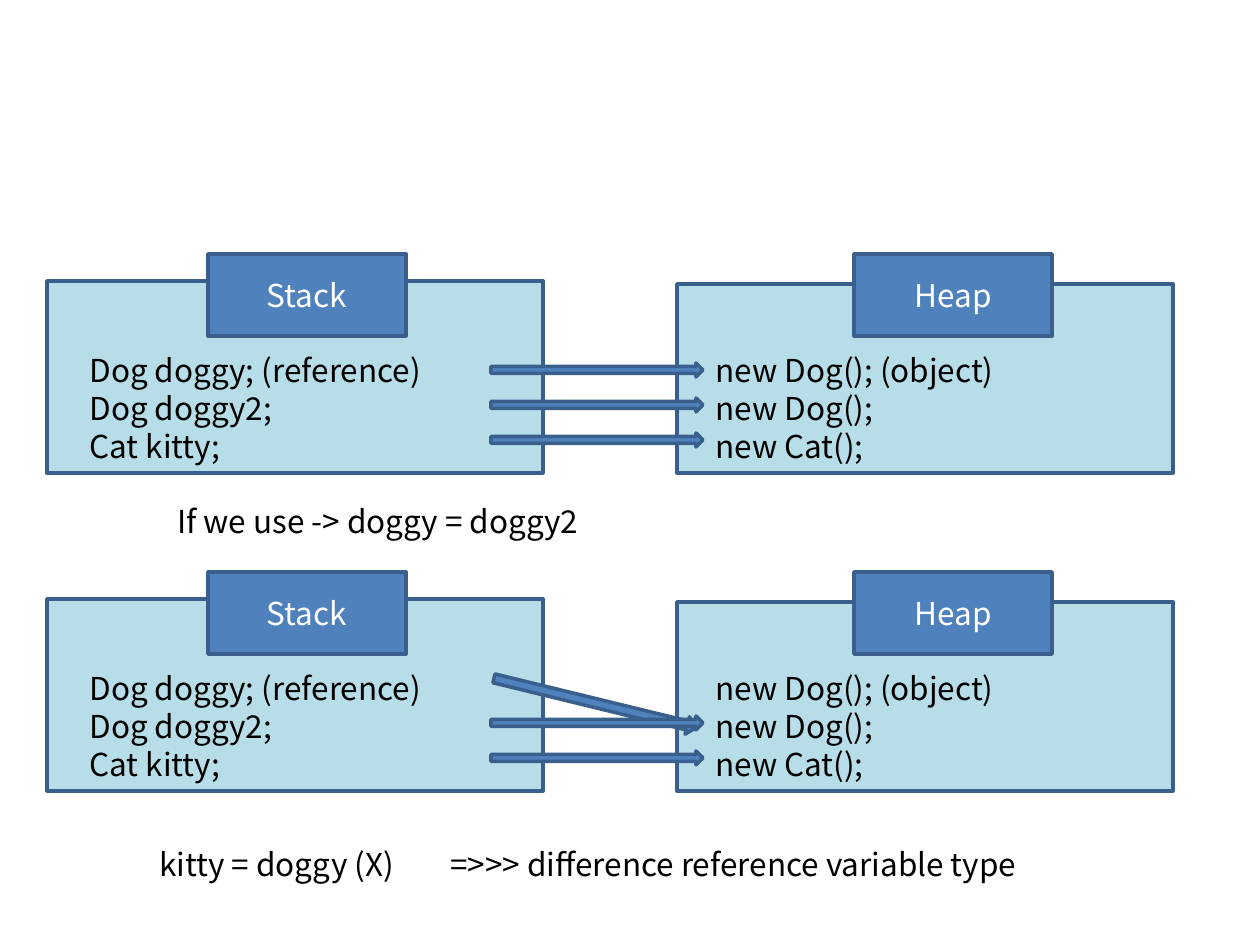
from pptx import Presentation
from pptx.dml.color import RGBColor
from pptx.enum.shapes import MSO_SHAPE
from pptx.enum.text import MSO_ANCHOR, MSO_AUTO_SIZE, PP_ALIGN
from pptx.oxml.xmlchemy import OxmlElement
from pptx.util import Pt

EMU_PER_PX = 914400 / 126
FONT = "Noto Sans CJK KR"
BLACK = RGBColor(0x00, 0x00, 0x00)
WHITE = RGBColor(0xFF, 0xFF, 0xFF)
BLUE = RGBColor(0x4F, 0x81, 0xBD)
DARK_BLUE = RGBColor(0x3A, 0x5F, 0x8C)
PALE_BLUE = RGBColor(0xB7, 0xDE, 0xE8)

STACK_LINES = ["Dog doggy; (reference)", "Dog doggy2;", "Cat kitty;"]
HEAP_LINES = ["new Dog(); (object)", "new Dog();", "new Cat();"]
DIAGRAM_STEP = 318
ARROW_STEP = 35


def px(n):
    return round(n * EMU_PER_PX)


class Board:
    def __init__(self, slide):
        self.slide = slide

    def shape(self, kind, left, top, width, height, fill):
        sp = self.slide.shapes.add_shape(kind, px(left), px(top), px(width), px(height))
        sp.shadow.inherit = False
        sp.fill.solid()
        sp.fill.fore_color.rgb = fill
        sp.line.color.rgb = DARK_BLUE
        sp.line.width = Pt(2)
        return sp

    def style_text(self, tf, color, align):
        for p in tf.paragraphs:
            p.alignment = align
            p.line_spacing = Pt(21.7)
            for r in p.runs:
                r.font.name = FONT
                r.font.size = Pt(18)
                r.font.color.rgb = color

    def panel(self, left, top, width, height):
        self.shape(MSO_SHAPE.RECTANGLE, left, top, width, height, PALE_BLUE)

    def label(self, text, left, top):
        sp = self.shape(MSO_SHAPE.RECTANGLE, left, top, 198, 82, BLUE)
        tf = sp.text_frame
        tf.vertical_anchor = MSO_ANCHOR.MIDDLE
        tf.text = text
        self.style_text(tf, WHITE, PP_ALIGN.CENTER)

    def text(self, lines, left, top, width, height):
        box = self.slide.shapes.add_textbox(px(left), px(top), px(width), px(height))
        tf = box.text_frame
        tf.word_wrap = True
        tf.auto_size = MSO_AUTO_SIZE.SHAPE_TO_FIT_TEXT
        tf.text = "\n".join(lines)
        self.style_text(tf, BLACK, PP_ALIGN.LEFT)
        return tf

    def arrow(self, top, width=212, height=14, rotation=0):
        sp = self.shape(MSO_SHAPE.RIGHT_ARROW, 491, top, width, height, BLUE)
        sp.rotation = rotation

    def memory(self, dy):
        """Draw the stack and heap panels, dy px below the first diagram."""
        self.panel(677, 284 + dy, 496, 189)
        self.panel(47, 281 + dy, 496, 192)
        self.label("Stack", 208, 254 + dy)
        self.label("Heap", 854, 254 + dy)
        self.text(STACK_LINES, 77, 345 + dy, 436, 127)
        self.text(HEAP_LINES, 703, 345 + dy, 436, 127)


def add_tab_stop(p, position):
    tabs = OxmlElement("a:tabLst")
    tab = OxmlElement("a:tab")
    tab.set("pos", str(px(position)))
    tab.set("algn", "l")
    tabs.append(tab)
    p._p.get_or_add_pPr().append(tabs)


def main():
    prs = Presentation()
    prs.slide_width, prs.slide_height = px(1260), px(945)
    board = Board(prs.slides.add_slide(prs.slide_layouts[6]))

    board.memory(0)
    for row in range(3):
        board.arrow(363 + row * ARROW_STEP)
    board.text(["If we use -> doggy = doggy2"], 165, 496, 515, 50)

    board.memory(DIAGRAM_STEP)
    board.arrow(694, 208, 18, rotation=13.7)
    for row in (1, 2):
        board.arrow(363 + DIAGRAM_STEP + row * ARROW_STEP)
    tf = board.text(["kitty = doggy (X)\t=>>> difference reference variable type"],
                    147, 839, 1024, 50)
    add_tab_stop(tf.paragraphs[0], 291)

    prs.save("out.pptx")


if __name__ == "__main__":
    main()
